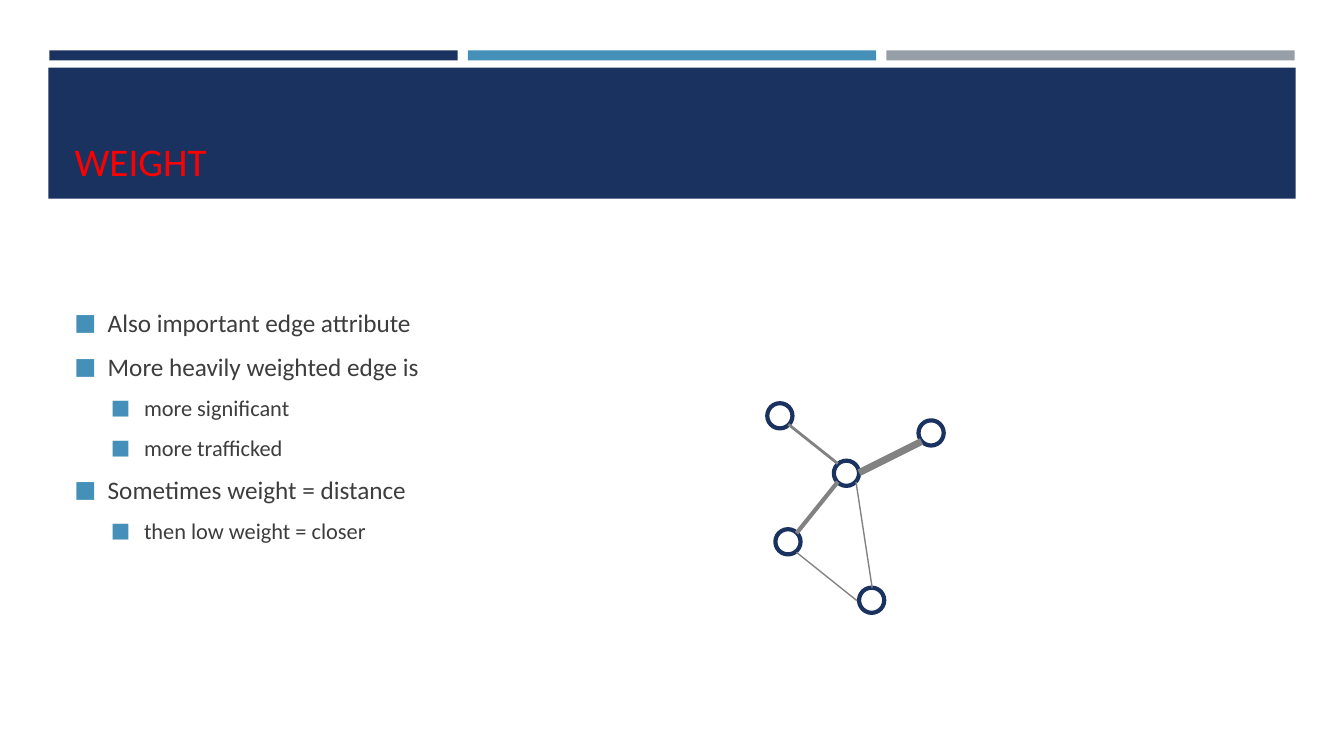
"""Build the "Weight" slide: a bullet list beside a small weighted graph."""
from typing import NamedTuple

from lxml.etree import SubElement
from pptx import Presentation
from pptx.dml.color import RGBColor
from pptx.enum.shapes import MSO_CONNECTOR, MSO_SHAPE
from pptx.enum.text import MSO_ANCHOR as Anchor, MSO_AUTO_SIZE as AutoSize, PP_ALIGN as Align
from pptx.oxml.ns import qn
from pptx.util import Pt

EMU_PER_PX = 9144
FONT = "Calibri"
COLORS = {
    "navy": "1A3260",
    "blue": "4590B8",
    "silver": "969FA7",
    "red": "FF0000",
    "text": "3D3D3D",
    "edge": "828282",
}
BAR_LEFT, BAR_TOP, BAR_WIDTH, BAR_HEIGHT, BAR_PITCH = 49, 50, 405, 10, 415
NODE_SIZE = 25
HANGING = 33


class Bullet(NamedTuple):
    text: str
    level: int = 0


class Node(NamedTuple):
    left: int
    top: int


class Edge(NamedTuple):
    start: tuple[int, int]
    end: tuple[int, int]
    weight: int


BULLETS = [
    Bullet("Also important edge attribute"),
    Bullet("More heavily weighted edge is"),
    Bullet("more significant", 1),
    Bullet("more trafficked", 1),
    Bullet("Sometimes weight = distance"),
    Bullet("then low weight = closer", 1),
]
NODES = [Node(827, 457), Node(911, 417), Node(769, 525), Node(852, 583), Node(761, 400)]
EDGES = [
    Edge((782, 421), (831, 460), 2),
    Edge((831, 478), (790, 529), 3),
    Edge((849, 478), (865, 583), 1),
    Edge((790, 548), (850, 596), 1),
    Edge((852, 469), (914, 438), 5),
]


def px(length: int) -> int:
    return length * EMU_PER_PX


def color(name: str) -> RGBColor:
    return RGBColor.from_string(COLORS[name])


def add_block(shapes, left: int, top: int, width: int, height: int, fill: str) -> None:
    shape = shapes.add_shape(MSO_SHAPE.RECTANGLE, px(left), px(top), px(width), px(height))
    shape.shadow.inherit = False
    shape.fill.solid()
    shape.fill.fore_color.rgb = color(fill)
    shape.line.fill.background()


def format_title(title) -> None:
    title.left, title.top, title.width, title.height = px(64), px(77), px(1206), px(111)
    frame = title.text_frame
    frame.text = "WEIGHT"
    frame.vertical_anchor = Anchor.BOTTOM
    frame.auto_size = AutoSize.NONE
    paragraph = frame.paragraphs[0]
    paragraph.alignment = Align.LEFT
    paragraph.font.name = FONT
    paragraph.font.size = Pt(28)
    paragraph.font.color.rgb = color("red")


def add_bullet_mark(paragraph, level: int) -> None:
    properties = paragraph._p.get_or_add_pPr()
    properties.set("marL", str(px(HANGING + 36 * level)))
    properties.set("indent", str(px(-HANGING)))
    bullet_color = SubElement(properties, qn("a:buClr"))
    SubElement(bullet_color, qn("a:srgbClr"), val=COLORS["blue"])
    SubElement(properties, qn("a:buSzPct"), val="92000")
    SubElement(properties, qn("a:buFont"), typeface=FONT)
    SubElement(properties, qn("a:buChar"), char="■")


def add_bullets(shapes, bullets: list[Bullet]) -> None:
    frame = shapes.add_textbox(px(64), px(238), px(1206), px(402)).text_frame
    frame.word_wrap = True
    frame.vertical_anchor = Anchor.TOP
    frame.margin_top = px(67)
    for index, bullet in enumerate(bullets):
        size = 18 - 2 * bullet.level
        paragraph = frame.add_paragraph() if index else frame.paragraphs[0]
        paragraph.text = bullet.text
        paragraph.level = bullet.level
        paragraph.space_before = Pt(size * 0.2 if index else 0)
        paragraph.space_after = Pt(6)
        add_bullet_mark(paragraph, bullet.level)
        paragraph.font.name = FONT
        paragraph.font.size = Pt(size)
        paragraph.font.color.rgb = color("text")


def add_node(shapes, node: Node) -> None:
    shape = shapes.add_shape(
        MSO_SHAPE.OVAL, px(node.left), px(node.top), px(NODE_SIZE), px(NODE_SIZE))
    shape.shadow.inherit = False
    shape.fill.background()
    shape.line.color.rgb = color("navy")
    shape.line.width = Pt(3)


def add_edge(shapes, edge: Edge) -> None:
    connector = shapes.add_connector(
        MSO_CONNECTOR.STRAIGHT, *map(px, edge.start), *map(px, edge.end))
    connector.line.color.rgb = color("edge")
    connector.line.width = Pt(edge.weight)
    SubElement(connector._element.spPr, qn("a:effectLst"))


def main() -> None:
    presentation = Presentation()
    presentation.slide_width, presentation.slide_height = px(1333), px(750)
    slide = presentation.slides.add_slide(presentation.slide_layouts[5])
    shapes = slide.shapes
    title = shapes.title

    for index, fill in enumerate(("navy", "blue", "silver")):
        add_block(shapes, BAR_LEFT + index * BAR_PITCH, BAR_TOP, BAR_WIDTH, BAR_HEIGHT, fill)
    add_block(shapes, 48, 67, 1237, 130, "navy")

    format_title(title)
    shapes._spTree.append(title._element)
    add_bullets(shapes, BULLETS)

    graph = shapes.add_group_shape().shapes
    for node in NODES:
        add_node(graph, node)
    for edge in EDGES:
        add_edge(graph, edge)

    presentation.save("out.pptx")


if __name__ == "__main__":
    main()
